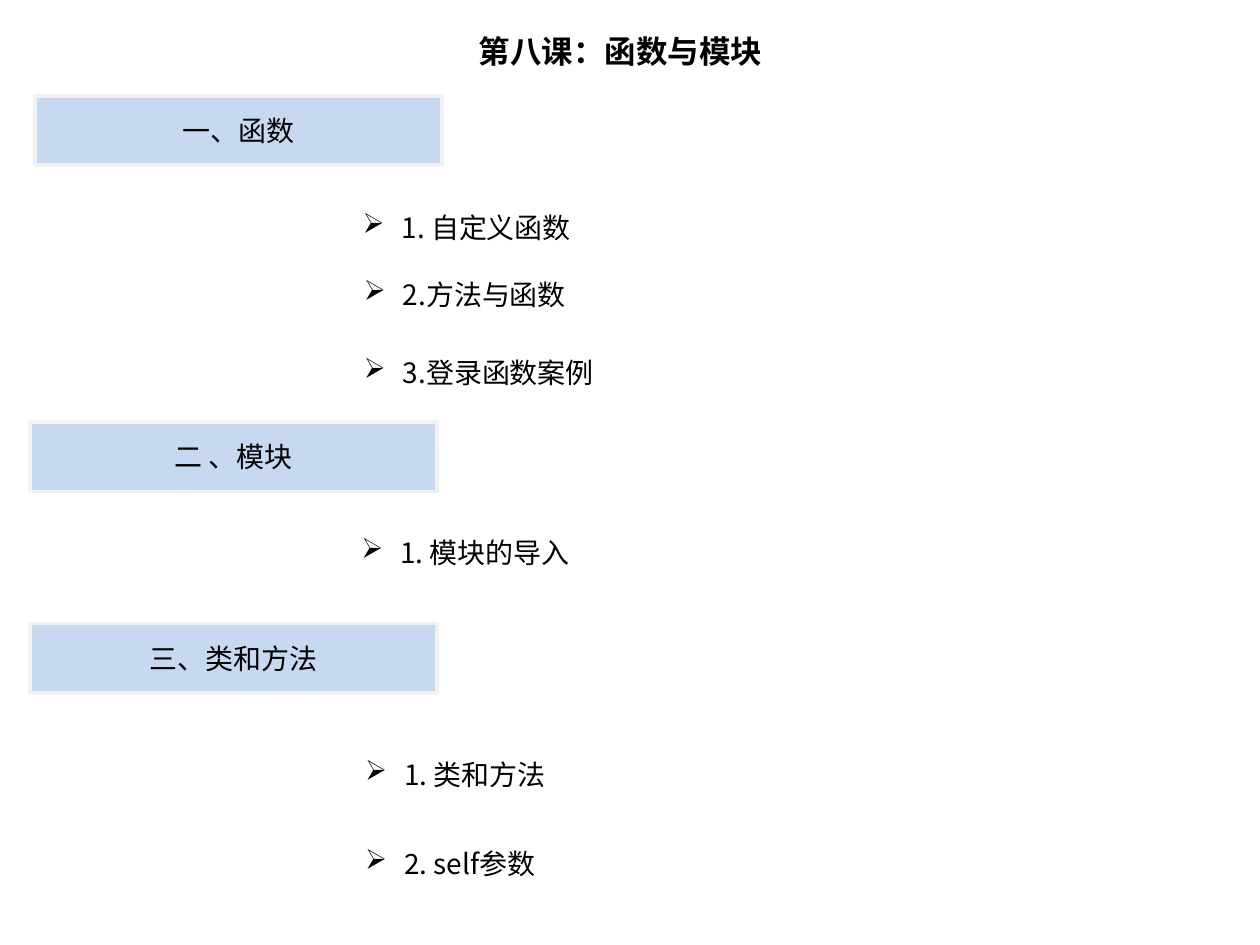
from pptx import Presentation
from pptx.dml.color import RGBColor
from pptx.enum.shapes import MSO_SHAPE
from pptx.enum.text import MSO_ANCHOR, MSO_AUTO_SIZE, PP_ALIGN
from pptx.oxml.ns import qn
from pptx.util import Inches, Pt
from lxml.etree import SubElement

COLORS = {"text": "000000", "band": "C6D9F1", "edge": "F2F2F2"}
FONT = "Noto Sans CJK SC"


class LessonSlide:
    def __init__(self, deck):
        self.slide = deck.slides.add_slide(deck.slide_layouts[6])

    def color(self, name):
        return RGBColor.from_string(COLORS[name])

    def add_text(self, frame, text, size=16, bold=False, align=PP_ALIGN.LEFT):
        frame.word_wrap = True
        paragraph = frame.paragraphs[0]
        paragraph.alignment = align
        run = paragraph.add_run()
        run.text = text
        run.font.name = FONT
        run.font.size = Pt(size)
        run.font.bold = bold
        run.font.color.rgb = self.color("text")
        SubElement(run._r.get_or_add_rPr(), qn("a:ea")).set("typeface", FONT)
        return paragraph

    def text_box(self, left, top, width, height):
        box = self.slide.shapes.add_textbox(
            Inches(left), Inches(top), Inches(width), Inches(height))
        return box.text_frame

    def title(self, text):
        frame = self.text_box(0.35, 0.13, 9.15, 0.55)
        frame.vertical_anchor = MSO_ANCHOR.MIDDLE
        self.add_text(frame, text, 18, True, PP_ALIGN.CENTER)

    def heading(self, text, left, top):
        band = self.slide.shapes.add_shape(
            MSO_SHAPE.RECTANGLE, Inches(left), Inches(top), Inches(3.23), Inches(0.55))
        band.shadow.inherit = False
        band.fill.solid()
        band.fill.fore_color.rgb = self.color("band")
        band.line.color.rgb = self.color("edge")
        band.line.width = Pt(2)
        band.text_frame.vertical_anchor = MSO_ANCHOR.MIDDLE
        self.add_text(band.text_frame, text, align=PP_ALIGN.CENTER)

    def topic(self, text, left, top, width=3.93):
        frame = self.text_box(left, top, width, 0.37)
        frame.auto_size = MSO_AUTO_SIZE.SHAPE_TO_FIT_TEXT
        properties = self.add_text(frame, text)._p.get_or_add_pPr()
        properties.set("marL", str(Inches(0.31)))
        properties.set("indent", str(-Inches(0.31)))
        SubElement(properties, qn("a:buChar")).set("char", "➢")


SECTIONS = [
    (("一、函数", 0.28, 0.76), [
        ("1. 自定义函数", 2.78, 1.62),
        ("2.方法与函数", 2.79, 2.15, 3.3),
        ("3.登录函数案例", 2.79, 2.77, 3.37),
    ]),
    (("二 、模块", 0.24, 3.35), [
        ("1. 模块的导入", 2.77, 4.2),
    ]),
    (("三、类和方法", 0.24, 4.95), [
        ("1. 类和方法", 2.8, 5.96),
        ("2. self参数", 2.8, 6.67),
    ]),
]

deck = Presentation()
deck.slide_width = Inches(10)
deck.slide_height = Inches(7.5)

lesson = LessonSlide(deck)
lesson.title("第八课：函数与模块")
for heading, topics in SECTIONS:
    lesson.heading(*heading)
    for topic in topics:
        lesson.topic(*topic)

deck.save("out.pptx")
